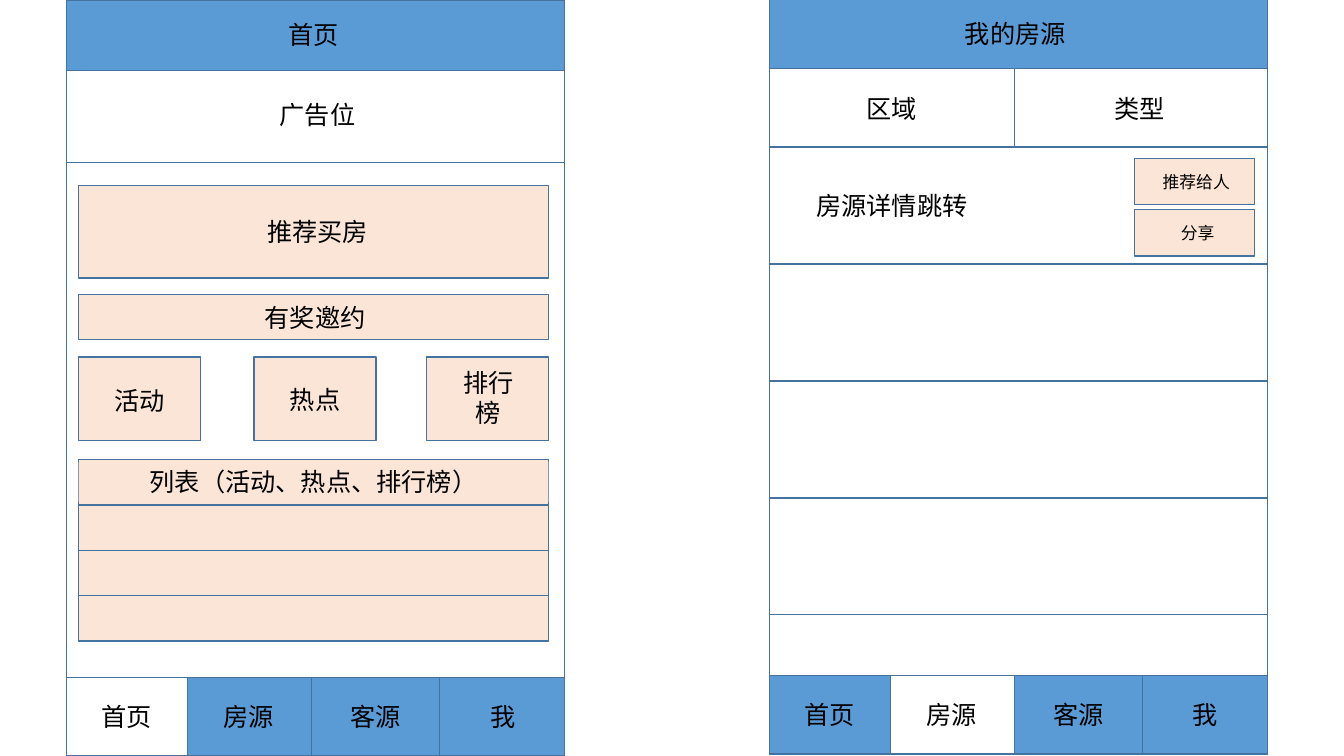
"""Draw wireframes of the home and listings screens of a housing app."""
from typing import NamedTuple, Optional

import lxml.etree
import pptx
import pptx.dml.color
import pptx.enum.shapes
import pptx.enum.text
import pptx.oxml.ns
import pptx.util

Inches = pptx.util.Inches
COLORS = {"white": "FFFFFF", "peach": "FBE5D6", "blue": "5B9BD5",
          "border": "43739E", "text": "000000"}
FONT = "Noto Sans CJK SC"
SCREEN_WIDTH = 4.94
TABS = ("首页", "房源", "客源", "我")
TAB_EDGES = (0, 1.2, 2.43, 3.7, SCREEN_WIDTH)
TAB_LABEL_OFFSETS = (0.2, 1.41, 2.67, 3.93)


class Panel(NamedTuple):
    """A bordered area of a screen."""
    left: float
    top: float
    width: float
    height: float
    color: str


class Label(NamedTuple):
    """Centred wording, on a patch of colour where one is named."""
    wording: str
    left: float
    top: float
    width: float
    height: float = 0.4
    color: Optional[str] = None
    size: int = 18


def rgb(name: str) -> pptx.dml.color.RGBColor:
    """Look up a colour by name."""
    return pptx.dml.color.RGBColor.from_string(COLORS[name])


def draw_panel(slide, panel: Panel) -> None:
    """Draw one bordered rectangle."""
    area = slide.shapes.add_shape(pptx.enum.shapes.MSO_SHAPE.RECTANGLE,
                                  *(Inches(length) for length in panel[:4]))
    area.shadow.inherit = False
    area.fill.solid()
    area.fill.fore_color.rgb = rgb(panel.color)
    area.line.color.rgb = rgb("border")
    area.line.width = pptx.util.Pt(1)


def write_label(holder, label: Label) -> None:
    """Place a text holder and fill it with the label's wording."""
    holder.left, holder.top, holder.width, holder.height = (
        Inches(length) for length in label[1:5])
    if label.color:
        holder.fill.solid()
        holder.fill.fore_color.rgb = rgb(label.color)
    frame = holder.text_frame
    frame.word_wrap = True
    frame.auto_size = pptx.enum.text.MSO_AUTO_SIZE.NONE
    frame.vertical_anchor = pptx.enum.text.MSO_ANCHOR.TOP
    paragraph = frame.paragraphs[0]
    paragraph.alignment = pptx.enum.text.PP_ALIGN.CENTER
    paragraph.line_spacing = 1.0
    paragraph.space_before = pptx.util.Pt(0)
    run = paragraph.add_run()
    run.text = label.wording
    run.font.size = pptx.util.Pt(label.size)
    run.font.name = FONT
    run.font.color.rgb = rgb("text")
    east_asian = lxml.etree.SubElement(run.font._element, pptx.oxml.ns.qn("a:ea"))
    east_asian.set("typeface", FONT)


def draw_label(slide, label: Label) -> None:
    """Add a text box for a label."""
    write_label(slide.shapes.add_textbox(0, 0, 0, 0), label)


def draw_screen(slide, left: float, top: float, active: str,
                panels: list[Panel], labels: list[Label]) -> None:
    """Draw a screen's frame, content, header band and tab bar."""
    draw_panel(slide, Panel(left, top, SCREEN_WIDTH, 7.5, "white"))
    for panel in panels:
        draw_panel(slide, panel)
    draw_panel(slide, Panel(left, top, SCREEN_WIDTH, 0.7, "blue"))
    for tab, start, end, offset in zip(TABS, TAB_EDGES, TAB_EDGES[1:], TAB_LABEL_OFFSETS):
        color = "white" if tab == active else "blue"
        draw_panel(slide, Panel(left + start, top + 6.72, end - start, 0.78, color))
        draw_label(slide, Label(tab, left + offset, top + 6.91, 0.79))
    for label in labels:
        draw_label(slide, label)


HOME_PANELS = [
    Panel(0.66, 0.69, SCREEN_WIDTH, 0.92, "white"),
    Panel(0.78, 1.84, 4.66, 0.92, "peach"),
    Panel(0.78, 2.92, 4.66, 0.45, "peach"),
    *(Panel(left, 3.54, 1.21, 0.83, "peach") for left in (0.78, 2.52, 4.23)),
    *(Panel(0.78, 4.56 + 0.45 * row, 4.66, 0.45, "peach") for row in range(4)),
]
HOME_LABELS = [
    Label("广告位", 1.61, 0.94, 3.08, color="white"),
    Label("推荐买房", 1.61, 2.1, 3.08, color="peach"),
    Label("有奖邀约", 2.35, 2.95, 1.55, color="peach"),
    Label("活动", 0.99, 3.77, 0.79, color="peach"),
    Label("热点", 2.73, 3.76, 0.79, color="peach"),
    Label("排行榜", 4.45, 3.59, 0.79, 0.71, "peach"),
    Label("列表（活动、热点、排行榜）", 0.78, 4.58, 4.66, color="peach"),
]
LISTING_PANELS = [
    Panel(7.63, 0.68, 2.44, 0.79, "white"),
    Panel(10.06, 0.68, 2.51, 0.79, "white"),
    *(Panel(7.63, 1.46 + 1.16 * row, SCREEN_WIDTH, 1.16, "white") for row in range(4)),
    *(Panel(11.25, top, 1.19, 0.46, "peach") for top in (1.57, 2.08)),
]
LISTING_LABELS = [
    Label("我的房源", 8.53, 0.13, 3.08, color="blue"),
    Label("区域", 7.83, 0.88, 2.02, color="white"),
    Label("类型", 10.27, 0.88, 2.07, color="white"),
    Label("房源详情跳转", 7.95, 1.84, 1.79, color="white"),
    Label("推荐给人", 11.38, 1.65, 0.97, 0.3, "peach", 12),
    Label("分享", 11.6, 2.16, 0.56, 0.3, "peach", 12),
]

deck = pptx.Presentation()
deck.slide_width, deck.slide_height = Inches(13.33), Inches(7.5)
wireframes = deck.slides.add_slide(deck.slide_layouts[5])
draw_screen(wireframes, 0.66, 0, "首页", HOME_PANELS, HOME_LABELS)
home_heading = wireframes.shapes.title
write_label(home_heading, Label("首页", 1.57, 0.14, 3.08, color="blue"))
wireframes.shapes._spTree.append(home_heading._element)
draw_screen(wireframes, 7.63, -0.02, "房源", LISTING_PANELS, LISTING_LABELS)
deck.save("out.pptx")
